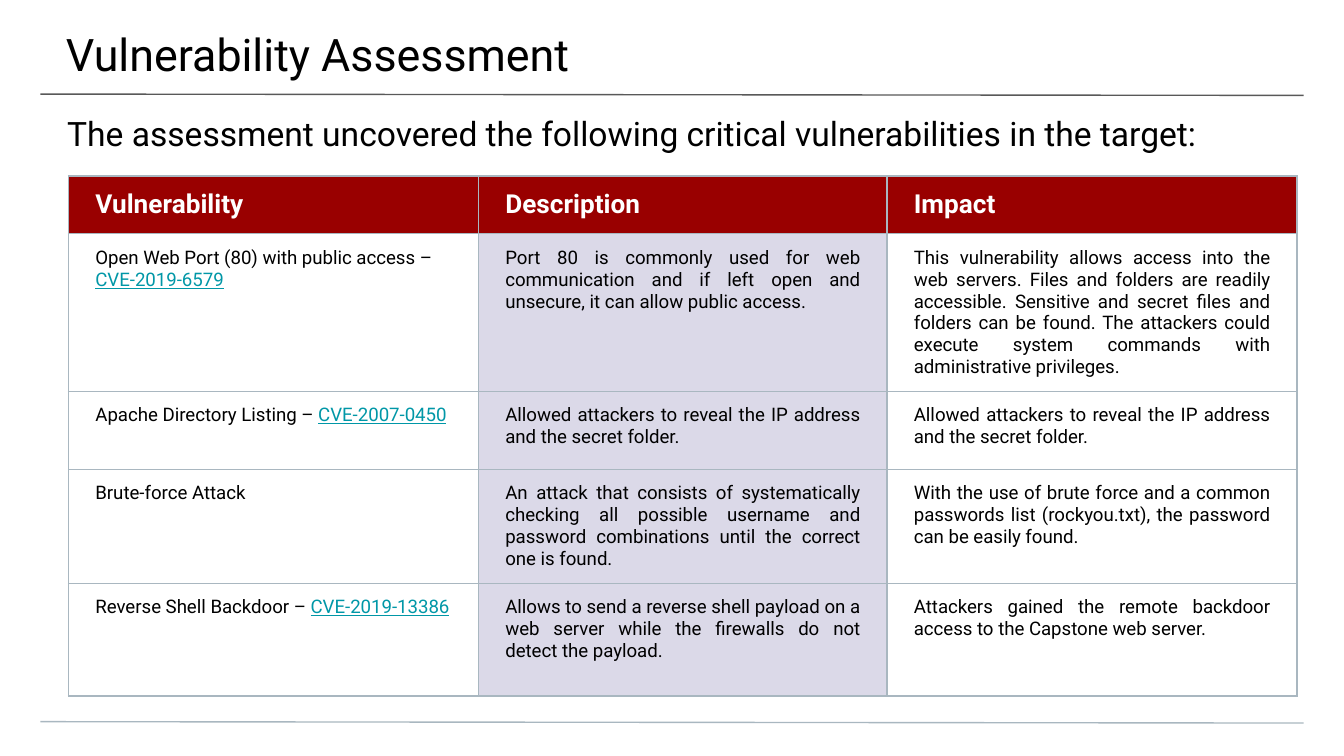
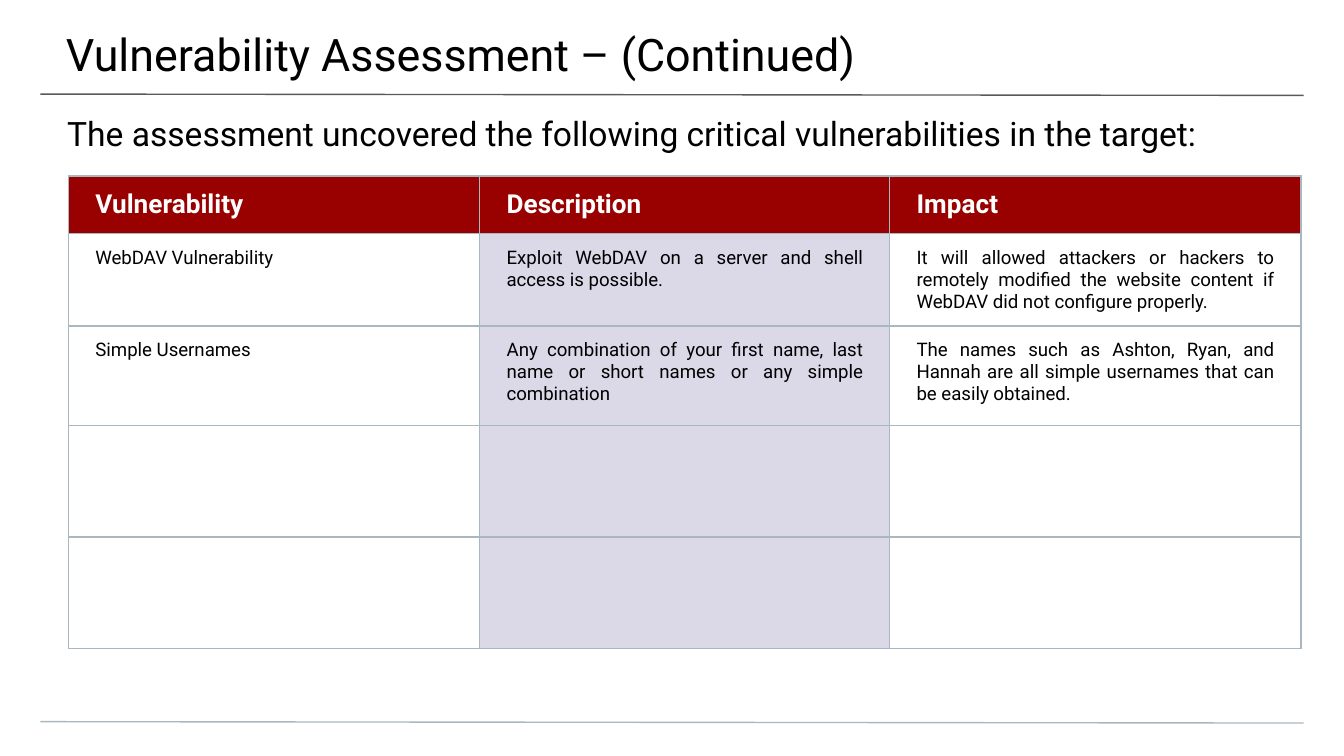
from lxml.etree import SubElement
from pptx import Presentation
from pptx.dml.color import RGBColor
from pptx.enum.text import MSO_ANCHOR as Anchor, MSO_AUTO_SIZE as AutoSize, PP_ALIGN as Align
from pptx.enum.shapes import MSO_CONNECTOR as Connector
from pptx.oxml.ns import qn
from pptx.util import Inches, Pt

FONT = "Roboto"
BLACK = RGBColor(0x00, 0x00, 0x00)
WHITE = RGBColor(0xFF, 0xFF, 0xFF)
RED = RGBColor(0x99, 0x00, 0x00)
LAVENDER = RGBColor(0xDB, 0xD9, 0xE8)
TEAL = RGBColor(0x00, 0x97, 0xA7)
DARK_GRAY = RGBColor(0x59, 0x59, 0x59)
BLUE_GRAY = RGBColor(0xA9, 0xB7, 0xC0)

SUBTITLE = "The assessment uncovered the following critical vulnerabilities in the target:"
HEADERS = ["Vulnerability", "Description", "Impact"]
RULES = [(0.7, DARK_GRAY), (5.37, BLUE_GRAY)]

# Each finding: name, CVE number, description, impact
FIRST_FINDINGS = [
    ("Open Web Port (80) with public access – ", "CVE-2019-6579",
     "Port 80 is commonly used for web communication and if left open and unsecure, "
     "it can allow public access.",
     "This vulnerability allows access into the web servers. Files and folders are readily "
     "accessible. Sensitive and secret files and folders can be found. The attackers could "
     "execute system commands with administrative privileges."),
    ("Apache Directory Listing – ", "CVE-2007-0450",
     "Allowed attackers to reveal the IP address and the secret folder.",
     "Allowed attackers to reveal the IP address and the secret folder."),
    ("Brute-force Attack", "",
     "An attack that consists of systematically checking all possible username and password "
     "combinations until the correct one is found.",
     "With the use of brute force and a common passwords list (rockyou.txt), the password "
     "can be easily found."),
    ("Reverse Shell Backdoor – ", "CVE-2019-13386",
     "Allows to send a reverse shell payload on a web server while the firewalls do not "
     "detect the payload.",
     "Attackers gained the remote backdoor access to the Capstone web server."),
]
MORE_FINDINGS = [
    ("WebDAV Vulnerability", "",
     "Exploit WebDAV on a server and shell access is possible.",
     "It will allowed attackers or hackers to remotely modified the website content if "
     "WebDAV did not configure properly."),
    ("Simple Usernames", "",
     "Any combination of your first name, last name or short names or any simple combination",
     "The names such as Ashton, Ryan, and Hannah are all simple usernames that can be "
     "easily obtained."),
    ("", "", "", ""),
    ("", "", "", ""),
]

# Title, findings, column widths, row heights
PAGES = [
    ("Vulnerability Assessment", FIRST_FINDINGS,
     [3.05, 3.04, 3.05], [0.43, 0.84, 0.58, 0.84, 0.84]),
    ("Vulnerability Assessment – (Continued)", MORE_FINDINGS,
     [3.06, 3.05, 3.06], [0.43, 0.53, 0.74, 0.83, 0.83]),
]


def style_placeholder(box, text, place, insets, size):
    box.left, box.top, box.width, box.height = [Inches(value) for value in place]
    frame = box.text_frame
    frame.text = text
    frame.word_wrap = True
    frame.auto_size = AutoSize.NONE
    frame.vertical_anchor = Anchor.TOP
    (frame.margin_left, frame.margin_top,
     frame.margin_right, frame.margin_bottom) = [Inches(value) for value in insets]
    para = frame.paragraphs[0]
    para.alignment = Align.LEFT
    para.space_before = Pt(0)
    font = para.runs[0].font
    font.name, font.size = FONT, Pt(size)
    font.color.rgb = BLACK


def style_cell(cell, fill_color):
    cell.margin_left = cell.margin_right = Inches(0.2)
    cell.margin_top = cell.margin_bottom = Inches(0.1)
    properties = cell._tc.get_or_add_tcPr()
    for side in ("a:lnL", "a:lnR", "a:lnT", "a:lnB"):
        border = SubElement(properties, qn(side), w=str(Pt(0.75)))
        fill = SubElement(border, qn("a:solidFill"))
        SubElement(fill, qn("a:srgbClr"), val=str(BLUE_GRAY))
    if fill_color is None:
        cell.fill.background()
    else:
        cell.fill.solid()
        cell.fill.fore_color.rgb = fill_color


# Widescreen deck, 16:9
deck = Presentation()
deck.slide_width = Inches(10)
deck.slide_height = Inches(10 * 9 / 16)

for title, findings, widths, heights in PAGES:
    page = deck.slides.add_slide(deck.slide_layouts[0])

    # Rules under the title and above the bottom edge
    for top, color in RULES:
        rule = page.shapes.add_connector(Connector.STRAIGHT, Inches(0.3), Inches(top),
                                         Inches(9.7), Inches(top + 0.01))
        rule.line.color.rgb = color
        rule.line.width = Pt(0.75)
        SubElement(rule._element.spPr, qn("a:effectLst"))

    # Title and subtitle
    style_placeholder(page.shapes.title, title,
                      (-0.01, 0, 10.03, 0.58), (0.5, 0.2, 0.3, 0.1), 24)
    style_placeholder(page.placeholders[1], SUBTITLE,
                      (0, 0.74, 10, 0.4), (0.5, 0.1, 0.5, 0), 18)

    # Table grid
    table = page.shapes.add_table(len(heights), len(widths), Inches(0.51), Inches(1.31),
                                  Inches(sum(widths)), Inches(sum(heights))).table
    table.horz_banding = False
    for column, width in zip(table.columns, widths):
        column.width = Inches(width)
    for row, height in zip(table.rows, heights):
        row.height = Inches(height)

    # Header row
    for cell, header in zip(table.rows[0].cells, HEADERS):
        style_cell(cell, RED)
        cell.vertical_anchor = Anchor.MIDDLE
        cell.text = header
        font = cell.text_frame.paragraphs[0].runs[0].font
        font.name, font.size, font.bold = FONT, Pt(14), True
        font.color.rgb = WHITE

    # Findings, with the CVE number underlined after the name
    for row_index, (name, cve, description, impact) in enumerate(findings, 1):
        for column_index, parts in enumerate([(name, cve), (description,), (impact,)]):
            cell = table.cell(row_index, column_index)
            style_cell(cell, LAVENDER if column_index == 1 else None)
            para = cell.text_frame.paragraphs[0]
            para.alignment = Align.JUSTIFY if column_index else Align.LEFT
            for part in filter(None, parts):
                span = para.add_run()
                span.text = part
                span.font.name, span.font.size = FONT, Pt(10)
                span.font.color.rgb = TEAL if part == cve else BLACK
                span.font.underline = part == cve

deck.save("out.pptx")
